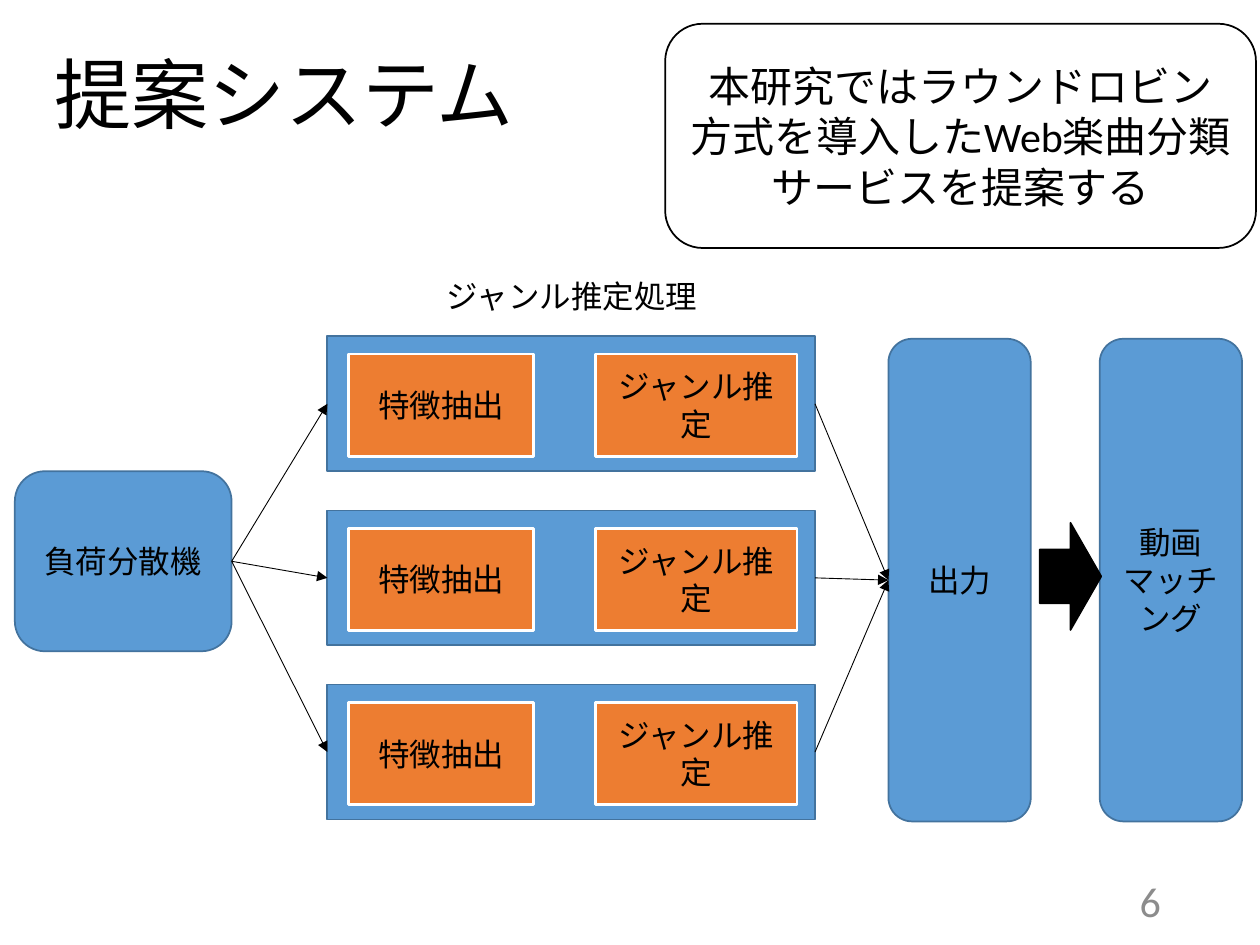
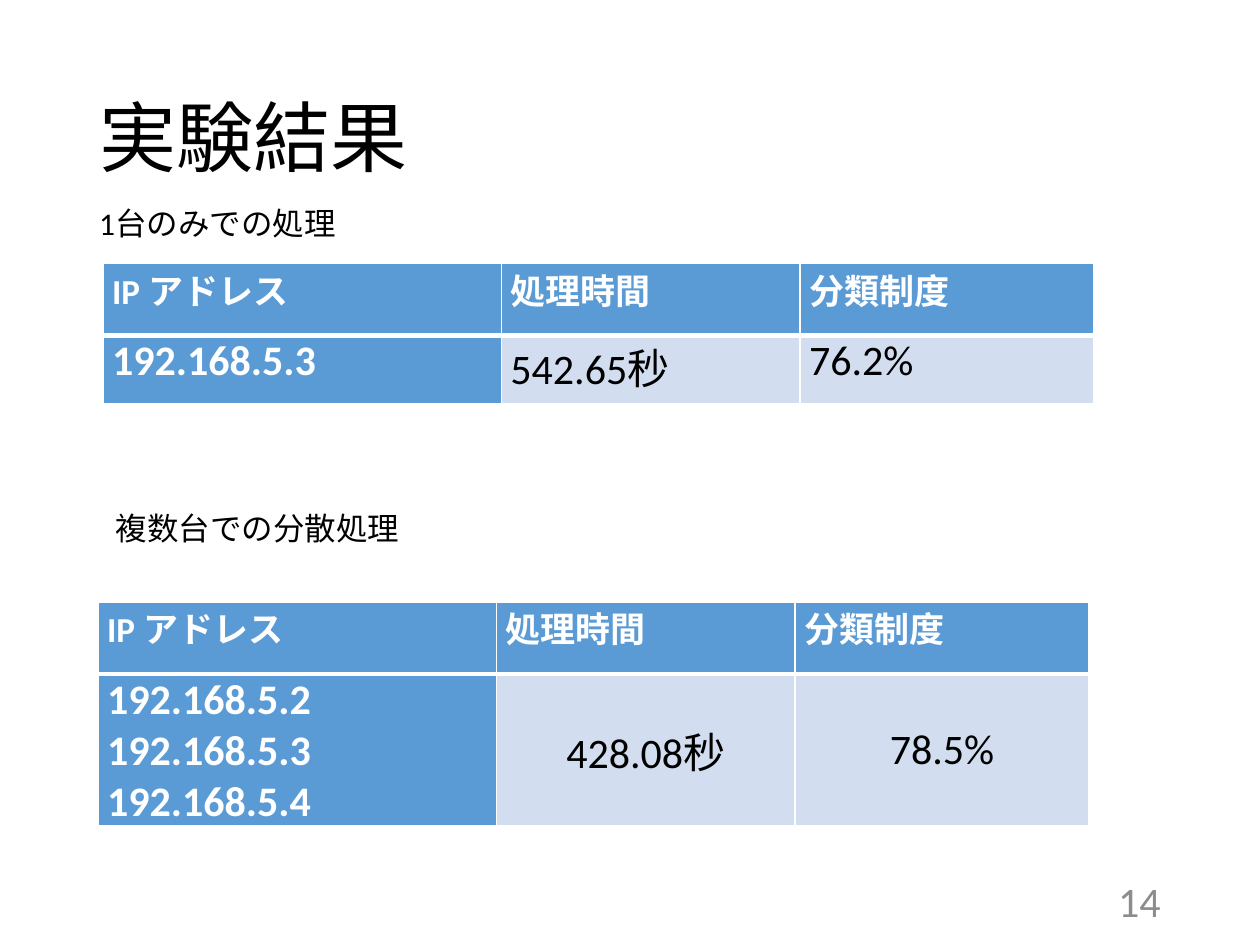
from dataclasses import dataclass

from lxml.etree import SubElement
from pptx import Presentation
from pptx.dml.color import RGBColor
from pptx.enum.shapes import MSO_CONNECTOR, MSO_SHAPE
from pptx.enum.text import MSO_ANCHOR, MSO_AUTO_SIZE, PP_ALIGN
from pptx.oxml import parse_xml
from pptx.oxml.ns import nsdecls, qn
from pptx.util import Cm, Pt


@dataclass(frozen=True)
class Theme:
    font: str = "Calibri"
    black: str = "000000"
    white: str = "FFFFFF"
    grey: str = "8C8C8C"
    blue: str = "5B9BD5"
    blue_edge: str = "43739E"
    pale_blue: str = "D2DEEF"
    orange: str = "ED7D31"
    title: int = 44
    large: int = 24
    header: int = 20
    body: int = 18


T = Theme()
TOP, LEFT, BOTTOM, RIGHT = range(4)
TITLE_ONLY = 5


def rgb(value):
    return RGBColor.from_string(value)


def cm_box(box):
    return [Cm(v) for v in box]


def write(tf, lines, size=T.body, color=T.black, align=PP_ALIGN.LEFT,
          anchor=MSO_ANCHOR.TOP, bold=False, spacing=None):
    tf.word_wrap = True
    tf.vertical_anchor = anchor
    for i, line in enumerate(lines):
        p = tf.paragraphs[0] if i == 0 else tf.add_paragraph()
        p.alignment = align
        if spacing:
            p.line_spacing = spacing
        r = p.add_run()
        r.text = line
        r.font.name = T.font
        r.font.size = Pt(size)
        r.font.bold = bold
        r.font.color.rgb = rgb(color)


def add_text(s, box, text, **style):
    tf = s.shapes.add_textbox(*cm_box(box)).text_frame
    write(tf, [text], **style)


def add_block(s, kind, box, fill, edge, lines=(), size=T.body, width=1):
    sp = s.shapes.add_shape(kind, *cm_box(box))
    sp.shadow.inherit = False
    sp.fill.solid()
    sp.fill.fore_color.rgb = rgb(fill)
    sp.line.color.rgb = rgb(edge)
    sp.line.width = Pt(width)
    write(sp.text_frame, lines, size, align=PP_ALIGN.CENTER,
          anchor=MSO_ANCHOR.MIDDLE)
    return sp


def link(s, source, target):
    """Arrow from the right side of source to the left side of target."""
    c = s.shapes.add_connector(MSO_CONNECTOR.STRAIGHT, 0, 0, 0, 0)
    c.begin_connect(source, RIGHT)
    c.end_connect(target, LEFT)
    c.line.color.rgb = rgb(T.black)
    c.line.width = Pt(0.5)
    SubElement(c.line._get_or_add_ln(), qn("a:tailEnd"), type="triangle")
    SubElement(c._element.spPr, qn("a:effectLst"))


def new_slide(prs, title, title_box, number):
    s = prs.slides.add_slide(prs.slide_layouts[TITLE_ONLY])
    sp = s.shapes.title
    sp.left, sp.top, sp.width, sp.height = cm_box(title_box)
    sp.text_frame.auto_size = MSO_AUTO_SIZE.NONE
    write(sp.text_frame, [title], T.title, anchor=MSO_ANCHOR.MIDDLE,
          spacing=0.9)
    add_text(s, (17.93, 17.65, 5.72, 1.02), number, size=T.large,
             color=T.grey, align=PP_ALIGN.RIGHT, anchor=MSO_ANCHOR.MIDDLE)
    return s


def add_lane(s, box):
    """One genre estimation server with its two steps."""
    x, y, _, _ = box
    lane = add_block(s, MSO_SHAPE.RECTANGLE, box, T.blue, T.blue_edge)
    for dx, w, step in ((0.43, 3.73, "特徴抽出"), (5.41, 4.06, "ジャンル推定")):
        add_block(s, MSO_SHAPE.RECTANGLE, (x + dx, y + 0.36, w, 2.06),
                  T.orange, T.white, [step], width=1.5)
    return lane


def add_pipeline(s, box):
    """Load balancer, parallel lanes, output and video matching."""
    x, y, _, h = box

    def stage(dx, dy, w, height, name):
        return add_block(s, MSO_SHAPE.ROUNDED_RECTANGLE,
                         (x + dx, y + dy, w, height),
                         T.blue, T.blue_edge, [name])

    balancer = stage(0, 2.72, 4.37, 3.63, "負荷分散機")
    output = stage(17.61, 0.05, 2.87, h, "出力")
    stage(21.87, 0.05, 2.87, h, "動画マッチング")
    add_text(s, (x + 6.33, y - 1.32, 9.8, 1.02), "ジャンル推定処理",
             align=PP_ALIGN.CENTER)
    for i in range(3):
        lane = add_lane(s, (x + 6.3, y + i * 3.51, 9.83, 2.72))
        link(s, balancer, lane)
        link(s, lane, output)
    add_block(s, MSO_SHAPE.RIGHT_ARROW, (x + 20.66, y + 3.76, 1.24, 2.16),
              T.black, T.black)


def proposal_slide(prs):
    s = new_slide(prs, "提案システム", (0.84, 0.94, 21.31, 2.08), "6")
    add_block(s, MSO_SHAPE.ROUNDED_RECTANGLE, (13.41, 0.48, 11.91, 4.52),
              T.white, T.black,
              ["本研究ではラウンドロビン方式を導入したWeb楽曲分類",
               "サービスを提案する"], T.large)
    add_pipeline(s, (0.3, 6.78, 24.74, 9.73))


def set_borders(cell, top, bottom):
    tcPr = cell._tc.get_or_add_tcPr()
    widths = (("lnL", 1), ("lnR", 1), ("lnT", top), ("lnB", bottom))
    for i, (edge, width) in enumerate(widths):
        tcPr.insert(i, parse_xml(
            f'<a:{edge} {nsdecls("a")} w="{Pt(width)}"><a:solidFill>'
            f'<a:srgbClr val="{T.white}"/></a:solidFill></a:{edge}>'))


def fill_cell(cell, lines, fill, top=1, bottom=1, **style):
    cell.margin_left = cell.margin_right = Cm(0.18)
    cell.margin_top = cell.margin_bottom = 0
    cell.fill.solid()
    cell.fill.fore_color.rgb = rgb(fill)
    write(cell.text_frame, lines, **style)
    cell.vertical_anchor = style.get("anchor", MSO_ANCHOR.TOP)
    set_borders(cell, top, bottom)


def add_result_table(s, box, addresses, values, **value_style):
    x, y, _, h = box
    header_height = 1.45
    table = s.shapes.add_table(2, 3, *cm_box(box)).table
    table.horz_banding = False
    for col, w in zip(table.columns, (8.03, 6.02, 5.92)):
        col.width = Cm(w)
    table.rows[0].height = Cm(header_height)
    table.rows[1].height = Cm(h - header_height)

    strong = dict(color=T.white, bold=True, align=PP_ALIGN.JUSTIFY)
    for i, name in enumerate(("IP アドレス", "処理時間", "分類制度")):
        fill_cell(table.cell(0, i), [name], T.blue, bottom=3,
                  size=T.header, **strong)
    fill_cell(table.cell(1, 0), addresses, T.blue, top=3,
              size=T.large, **strong)
    for i, value in enumerate(values, start=1):
        fill_cell(table.cell(1, i), [value], T.pale_blue, top=3,
                  size=T.large, **value_style)


def results_slide(prs):
    s = new_slide(prs, "実験結果", (1.75, 1.02, 21.89, 3.68), "14")
    add_text(s, (1.75, 3.99, 20.7, 1.02), "1台のみでの処理")
    add_result_table(s, (2.08, 5.31, 19.97, 2.82), ["192.168.5.3"],
                     ["542.65秒", "76.2%"])
    add_text(s, (2.08, 10.13, 20.35, 1.02), "複数台での分散処理")
    add_result_table(s, (1.98, 12.14, 19.97, 4.5),
                     [f"192.168.5.{host}" for host in (2, 3, 4)],
                     ["428.08秒", "78.5%"],
                     align=PP_ALIGN.CENTER, anchor=MSO_ANCHOR.MIDDLE)


def main():
    prs = Presentation()
    prs.slide_width, prs.slide_height = Cm(25.4), Cm(19.05)
    proposal_slide(prs)
    results_slide(prs)
    prs.save("out.pptx")


if __name__ == "__main__":
    main()
